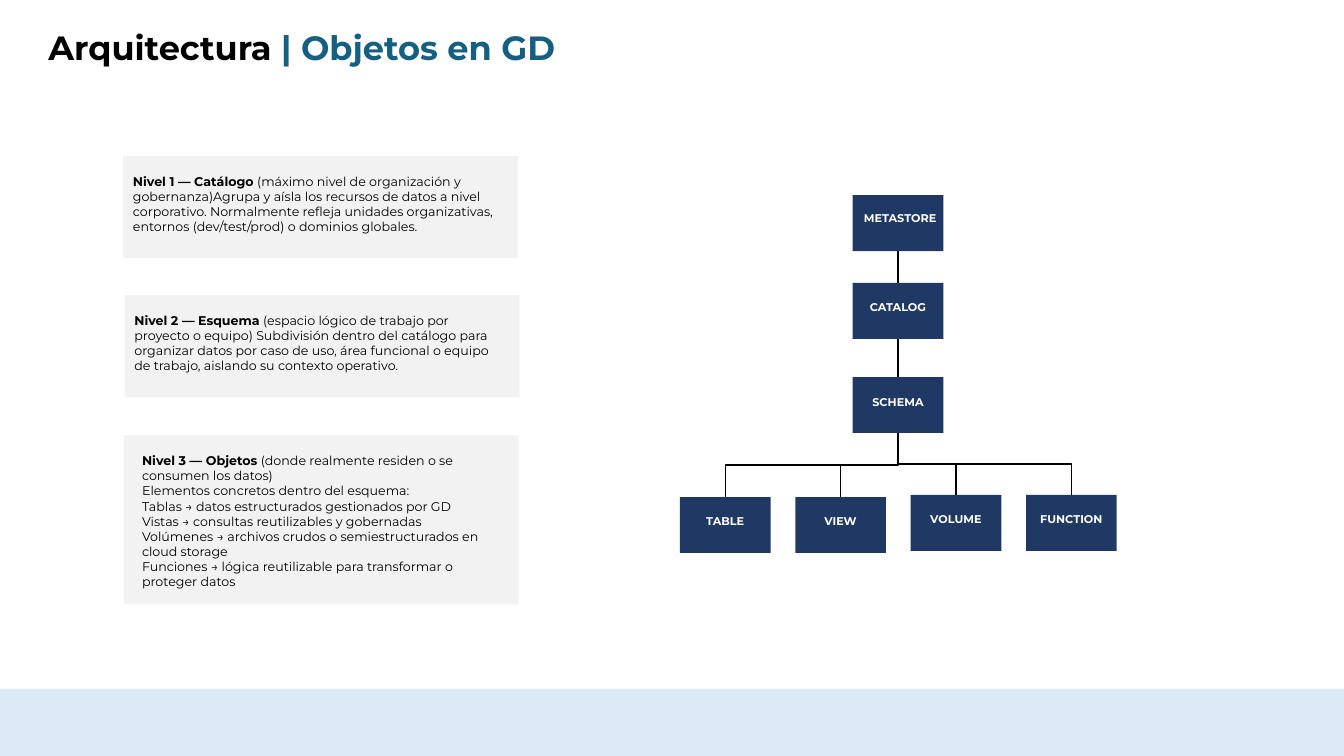
from lxml import etree
from pptx import Presentation
from pptx.dml.color import RGBColor
from pptx.enum.shapes import MSO_CONNECTOR, MSO_SHAPE
from pptx.enum.text import MSO_ANCHOR, MSO_AUTO_SIZE, PP_ALIGN
from pptx.oxml.ns import qn
from pptx.util import Pt

RECT = MSO_SHAPE.RECTANGLE
ELBOW, STRAIGHT = MSO_CONNECTOR.ELBOW, MSO_CONNECTOR.STRAIGHT
TOP, MIDDLE = MSO_ANCHOR.TOP, MSO_ANCHOR.MIDDLE
LEFT, CENTER = PP_ALIGN.LEFT, PP_ALIGN.CENTER
FIXED = MSO_AUTO_SIZE.NONE

BLACK, WHITE, NAVY, TEAL = "000000", "FFFFFF", "203864", "156082"
GREY, PALE = "F2F2F2", "DCEAF7"


def paint(color, code):
    color.rgb = RGBColor.from_string(code)


def write(para, text, size, code, bold):
    run = para.add_run()
    run.text = text
    style = {"name": "Montserrat", "size": Pt(size), "bold": bold}
    for key, value in style.items():
        setattr(run.font, key, value)
    paint(run.font.color, code)


deck = Presentation()
deck.slide_width, deck.slide_height = Pt(960), Pt(540)
slide = deck.slides.add_slide(deck.slide_layouts[5])
shapes = slide.shapes

# Title
title = shapes.title
place = {"left": 27.4, "top": 14.2, "width": 620.6, "height": 42.5}
for key, value in place.items():
    setattr(title, key, Pt(value))
frame = title.text_frame
frame.auto_size, frame.vertical_anchor = FIXED, MIDDLE
para = frame.paragraphs[0]
para.alignment, para.line_spacing = LEFT, 0.9
write(para, "Arquitectura ", 24, BLACK, True)
write(para, "| Objetos en GD", 24, TEAL, True)

# Each card: left, top, height, left inset, right inset,
# paragraphs as (bold part, plain part)
cards = [
    (88, 111.3, 73, 7, 13, [
        ("Nivel 1 — Catálogo ",
         "(máximo nivel de organización y gobernanza)Agrupa y aísla los "
         "recursos de datos a nivel corporativo. Normalmente refleja unidades "
         "organizativas, entornos (dev/test/prod) o dominios globales.")]),
    (89, 210.8, 73, 7, 13, [
        ("Nivel 2 — Esquema ",
         "(espacio lógico de trabajo por proyecto o equipo) Subdivisión dentro "
         "del catálogo para organizar datos por caso de uso, área funcional o "
         "equipo de trabajo, aislando su contexto operativo.")]),
    (88.5, 311, 120.7, 13, 7, [
        ("Nivel 3 — Objetos ",
         "(donde realmente residen o se consumen los datos)"),
        ("", "Elementos concretos dentro del esquema:"),
        ("", "Tablas → datos estructurados gestionados por GD"),
        ("", "Vistas → consultas reutilizables y gobernadas"),
        ("", "Volúmenes → archivos crudos o semiestructurados en cloud storage"),
        ("", "Funciones → lógica reutilizable para transformar o proteger datos")]),
]
# Each block: left, top, width, height, fill, insets (left, top, right),
# alignment, text size, text colour, paragraphs
blocks = [(x, y, 282, high, GREY, (near, 12.6, far), LEFT, 9, BLACK, paras)
          for x, y, high, near, far, paras in cards]

# Each node: name, top, left inset, top inset
trunk = [("METASTORE", 139.4, 3, 11.5), ("CATALOG", 202.1, 0, 12.4),
         ("SCHEMA", 269.3, 0, 12.8)]
leaves = [("TABLE", 355), ("VIEW", 355), ("VOLUME", 353.5), ("FUNCTION", 353.5)]
nodes = [(609.1, *node) for node in trunk]
nodes += [(485.7 + 82.4 * i, name, y, 0, 12.3) for i, (name, y) in enumerate(leaves)]
blocks += [(x, y, 64.8, 40, NAVY, (near, head, 0), CENTER, 8, WHITE, [(name, "")])
           for x, name, y, near, head in nodes]
blocks.append((0, 492, 960, 48, PALE, (0, 0, 0), LEFT, 9, BLACK, []))

tree = {}
for x, y, wide, high, fill, inset, align, size, code, paras in blocks:
    box = shapes.add_shape(RECT, Pt(x), Pt(y), Pt(wide), Pt(high))
    box.shadow.inherit = False
    box.fill.solid()
    paint(box.fill.fore_color, fill)
    box.line.fill.background()
    frame = box.text_frame
    near, head, far = inset
    form = {"word_wrap": True, "vertical_anchor": TOP, "margin_left": Pt(near),
            "margin_top": Pt(head), "margin_right": Pt(far), "margin_bottom": 0}
    for key, value in form.items():
        setattr(frame, key, value)
    for i, (strong, plain) in enumerate(paras):
        para = frame.add_paragraph() if i else frame.paragraphs[0]
        para.alignment = align
        for text, bold in ((strong, True), (plain, False)):
            if text:
                write(para, text, size, code, bold)
    if fill == NAVY:
        tree[paras[0][0]] = box

# Links from each node's bottom to its child's top
pairs = [("METASTORE", "CATALOG", STRAIGHT), ("CATALOG", "SCHEMA", STRAIGHT)]
pairs += [("SCHEMA", name, ELBOW) for name, _ in leaves]
for upper, lower, kind in pairs:
    link = shapes.add_connector(kind, 0, 0, 0, 0)
    link.begin_connect(tree[upper], 2)
    link.end_connect(tree[lower], 0)
    link.line.width = Pt(1)
    paint(link.line.color, BLACK)
    props = link._element.spPr
    etree.SubElement(props, qn("a:effectLst"))
    if kind == ELBOW:
        # An elbow that leaves downwards is a sideways one turned a quarter
        right = link.end_x > link.begin_x
        wide, high = link.width, link.height
        link.left += (wide - high) // 2
        link.top += (high - wide) // 2
        link.width, link.height = high, wide
        frame = props.find(qn("a:xfrm"))
        frame.set("rot", "16200000" if right else "5400000")
        frame.set("flipH", "1" if right else "0")

deck.save("out.pptx")
